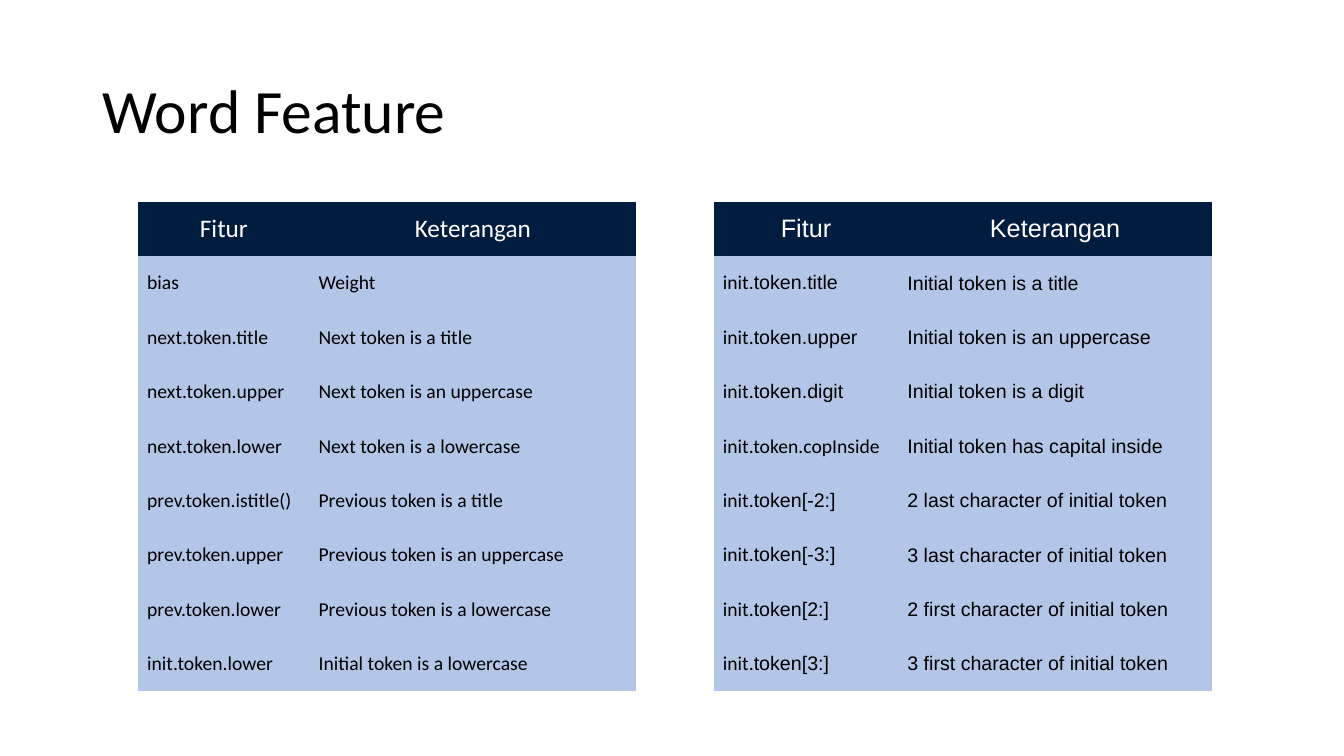
import pptx
import pptx.util
import pptx.dml.color
import pptx.enum.text

Inches, Pt = pptx.util.Inches, pptx.util.Pt
RGB = pptx.dml.color.RGBColor.from_string
ALIGN, ANCHOR = pptx.enum.text.PP_ALIGN, pptx.enum.text.MSO_ANCHOR

THEME = {
    "header_fill": RGB("001D3F"), "body_fill": RGB("B3C6E7"),
    "header_text": RGB("FFFFFF"), "text": RGB("000000"),
    "title_size": Pt(44), "header_size": Pt(18), "body_size": Pt(14),
    "main": "Calibri", "alt": "Arial",
    "no_grid": "{2D5ABB26-0587-4C30-8999-92F81FD0307C}",
}
TOP, ROW_H = 2, 0.54
HEADER = ("Fitur", "Keterangan")

next_prev = [
    ("bias", "Weight"),
    ("next.token.title", "Next token is a title"),
    ("next.token.upper", "Next token is an uppercase"),
    ("next.token.lower", "Next token is a lowercase"),
    ("prev.token.istitle()", "Previous token is a title"),
    ("prev.token.upper", "Previous token is an uppercase"),
    ("prev.token.lower", "Previous token is a lowercase"),
    ("init.token.lower", "Initial token is a lowercase"),
]
initial = [
    ("init.|token.title", "Initial token is a title"),
    ("init.|token.upper", "Initial token is an uppercase"),
    ("init.|token.digit", "Initial token is a digit"),
    ("init.token.copInside", "Initial token has capital inside"),
    ("init.|token[-2:]", "2 last character of initial token"),
    ("init.|token[-3:]", "3 last character of initial token"),
    ("init.|token[2:]", "2 first character of initial token"),
    ("init.|token[3:]", "3 first character of initial token"),
]
tables = [
    (1.37, (1.7, 3.24), THEME["main"], next_prev),
    (7.08, (1.83, 3.11), THEME["alt"], initial),
]

prs = pptx.Presentation()
prs.slide_width, prs.slide_height = Inches(13.33), Inches(7.5)
s = prs.slides.add_slide(prs.slide_layouts[6])

tf = s.shapes.add_textbox(Inches(0.92), Inches(0.4), Inches(11.5), Inches(1.45)).text_frame
tf.word_wrap = True
tf.vertical_anchor = ANCHOR.MIDDLE
p = tf.paragraphs[0]
p.text = "Word Feature"
p.line_spacing = 0.9
p.font.name, p.font.size = THEME["main"], THEME["title_size"]
p.font.color.rgb = THEME["text"]

for left, widths, font, features in tables:
    rows = [HEADER] + features
    tbl = s.shapes.add_table(len(rows), len(widths), Inches(left), Inches(TOP),
                             Inches(sum(widths)), Inches(ROW_H * len(rows))).table
    tbl._tbl.tblPr[0].text = THEME["no_grid"]
    tbl.horz_banding = False
    for column, width in zip(tbl.columns, widths):
        column.width = Inches(width)
    for i, row in enumerate(rows):
        tbl.rows[i].height = Inches(ROW_H)
        part = "header" if i == 0 else "body"
        for j, text in enumerate(row):
            cell = tbl.cell(i, j)
            cell.fill.solid()
            cell.fill.fore_color.rgb = THEME[part + "_fill"]
            cell.vertical_anchor = ANCHOR.MIDDLE
            cell.margin_left = cell.margin_right = Inches(0.09)
            cell.margin_top = cell.margin_bottom = Inches(0.04)
            p = cell.text_frame.paragraphs[0]
            p.alignment = ALIGN.CENTER if i == 0 else ALIGN.LEFT
            fonts = (THEME["main"], THEME["alt"]) if i and j == 0 else (font,)
            for piece, name in zip(text.split("|"), fonts):
                r = p.add_run()
                r.text = piece
                r.font.name, r.font.size = name, THEME[part + "_size"]
                r.font.color.rgb = THEME["text" if i else "header_text"]

prs.save("out.pptx")
